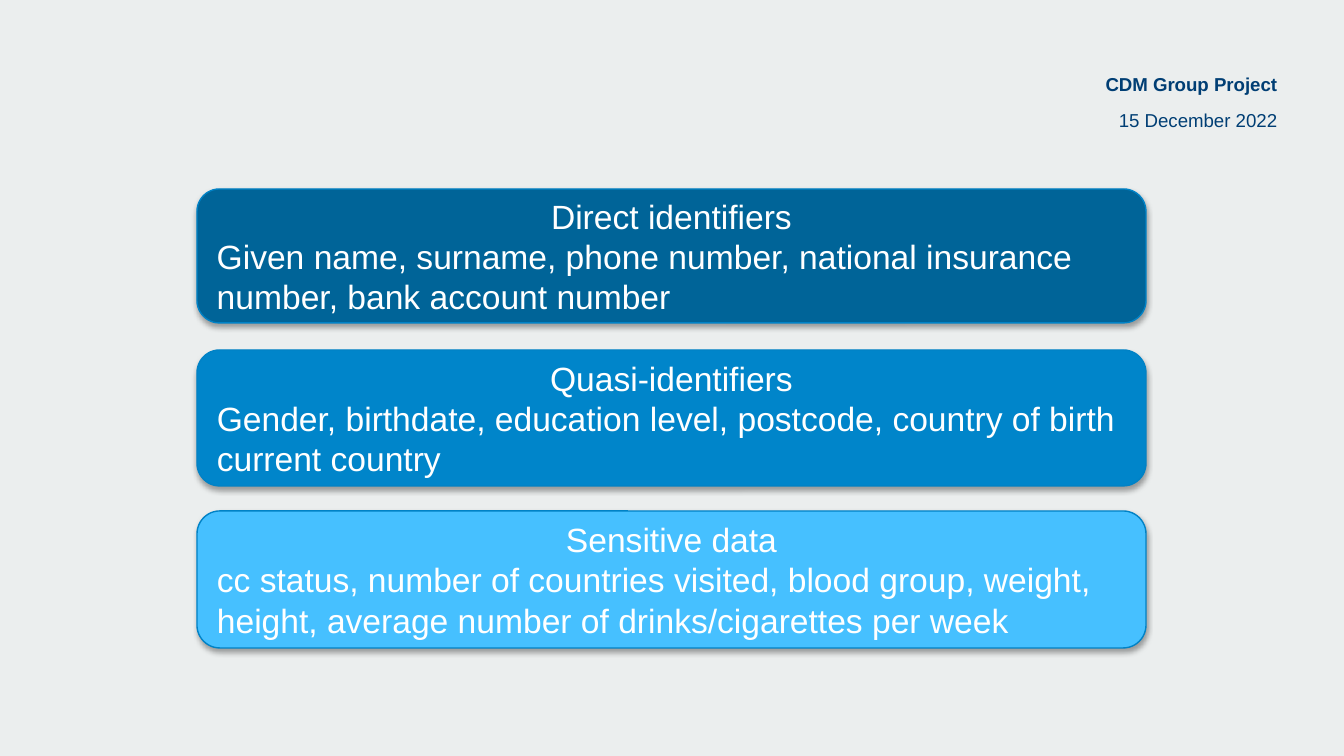
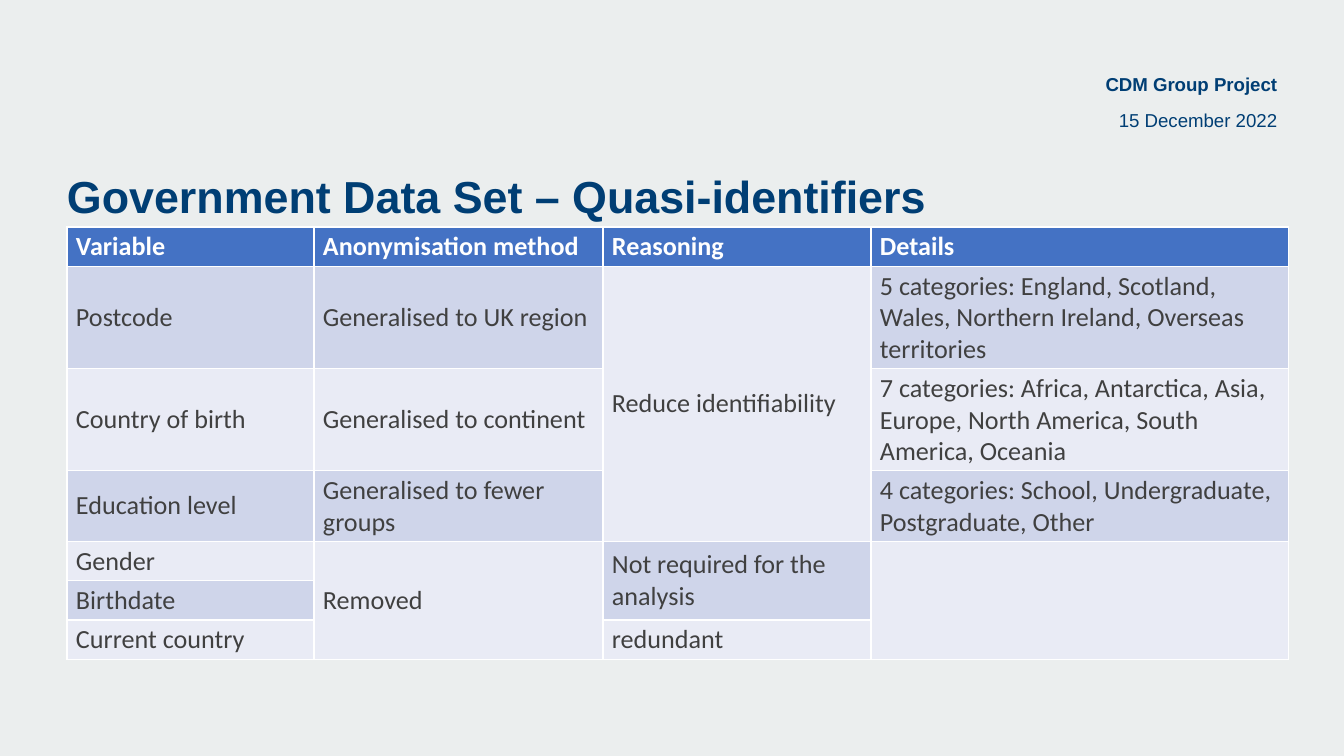
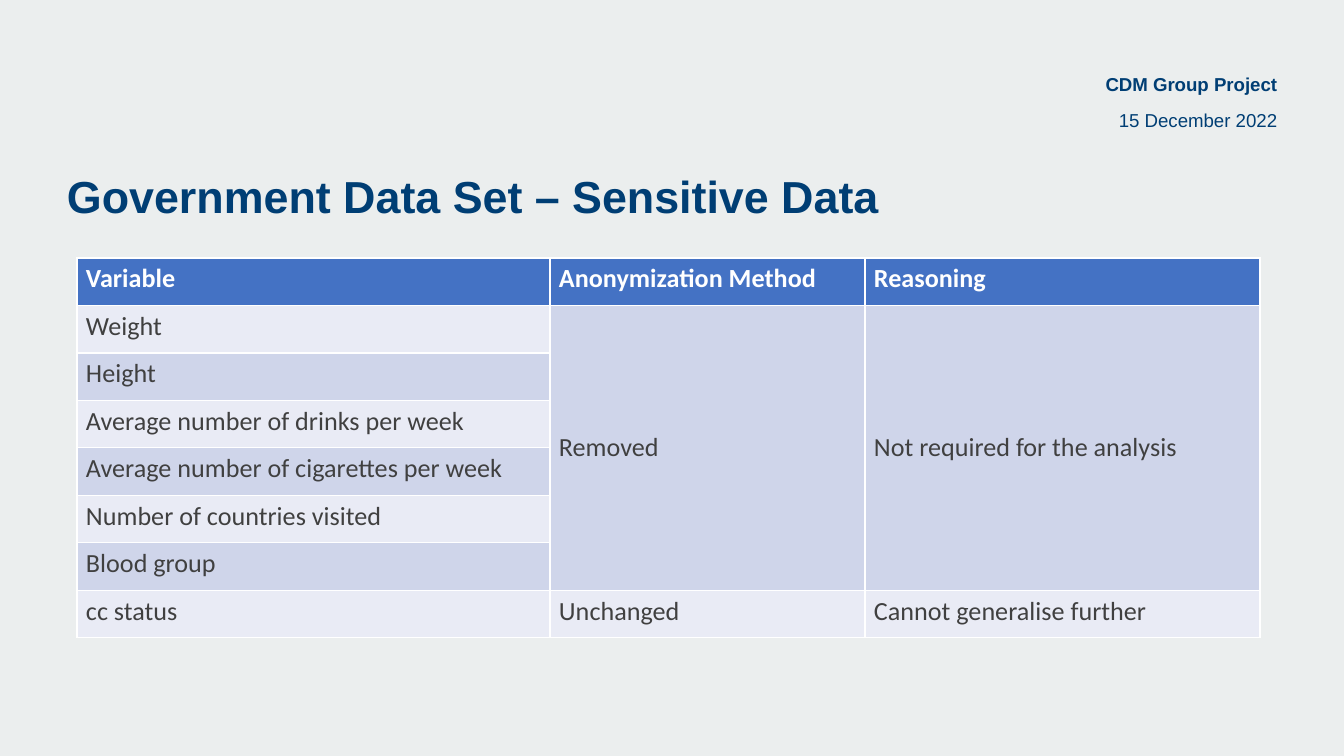
"""Build three slides on anonymising a government data set."""
from lxml.etree import SubElement as Sub
from pptx import Presentation
from pptx.dml.color import RGBColor as Rgb
from pptx.enum.shapes import MSO_SHAPE as Shape
from pptx.enum.text import MSO_ANCHOR as Anchor, MSO_AUTO_SIZE as Fit, PP_ALIGN as Align
from pptx.oxml.ns import qn
from pptx.util import Emu, Pt

WIDE, HIGH = 1344, 756
SCALE = 9144000 / WIDE

HUES = {
    "back": "EBEEEE", "navy": "003E74", "white": "FFFFFF", "text": "404040",
    "head": "4472C4", "dark": "CFD5EA", "light": "E9EBF5", "edge": "0082C6",
    "deep": "006498", "mid": "0085CA", "sky": "46C0FF", "black": "000000",
}

FONTS = {
    "title": ("Arial", 24, True, "navy"),
    "group": ("Arial", 10, True, "navy"),
    "date": ("Arial", 10, False, "navy"),
    "card": ("Arial", 18, False, "white"),
    "head": ("Calibri", 14, True, "white"),
    "cell": ("Calibri", 14, False, "text"),
}

STAMPS = [
    ("CDM Group Project", "group", (964, 73, 313, 35)),
    ("15 December 2022", "date", (1064, 109, 213, 28)),
]

CARDS = [
    ("Direct identifiers",
     "Given name, surname, phone number, national insurance number, bank account number",
     "deep", 134),
    ("Quasi-identifiers",
     "Gender, birthdate, education level, postcode, country of birth current country",
     "mid", 136),
    ("Sensitive data",
     "cc status, number of countries visited, blood group, weight, height, "
     "average number of drinks/cigarettes per week",
     "sky", 137),
]
CARD = {"left": 197, "top": 189, "step": 161, "wide": 949}

GRIDS = [
    {
        "title": "Government Data Set – Quasi-identifiers",
        "at": (67, 227), "high": 441, "pad": 4, "anchor": Anchor.MIDDLE,
        "cols": [247, 289, 268, 418],
        "rows": [39, 101, 101, 70, 39, 39, 39],
        "bands": ("dark", "light"),
        "flips": {(1, 2), (4, 2)},
        "cells": [
            ("Variable", "Anonymisation method", "Reasoning", "Details"),
            ("Postcode", "Generalised to UK region", "Reduce identifiability",
             "5 categories: England, Scotland, Wales, Northern Ireland, Overseas territories"),
            ("Country of birth", "Generalised to continent", None,
             "7 categories: Africa, Antarctica, Asia, Europe, North America, South America, Oceania"),
            ("Education level", "Generalised to fewer groups", None,
             "4 categories: School, Undergraduate,\nPostgraduate, Other"),
            ("Gender", "Removed", "Not required for the analysis", ""),
            ("Birthdate", None, None, None),
            ("Current country", None, "redundant", None),
        ],
    },
    {
        "title": "Government Data Set – Sensitive Data",
        "at": (77, 258), "high": 380, "pad": 5, "anchor": Anchor.TOP,
        "cols": [473, 315, 395],
        "rows": [47.5] * 8,
        "bands": ("light", "dark"),
        "flips": {(1, 1), (1, 2)},
        "cells": [
            ("Variable", "Anonymization Method", "Reasoning"),
            ("Weight", "Removed", "Not required for the analysis"),
            ("Height", None, None),
            ("Average number of drinks per week", None, None),
            ("Average number of cigarettes per week", None, None),
            ("Number of countries visited", None, None),
            ("Blood group", None, None),
            ("cc status", "Unchanged", "Cannot generalise further"),
        ],
    },
]


def px(num):
    return Emu(round(num * SCALE))


def hue(name):
    return Rgb.from_string(HUES[name])


def put(thing, **vals):
    for key, val in vals.items():
        setattr(thing, key, val)


def pads(left, top, right, base):
    sides = zip(("left", "top", "right", "bottom"), (left, top, right, base))
    return {f"margin_{side}": px(num) for side, num in sides}


def paint(thing, name):
    thing.fill.solid()
    thing.fill.fore_color.rgb = hue(name)


def write(frame, lines, font, aligns=(Align.LEFT,), **form):
    face, size, bold, tint = FONTS[font]
    for num, line in enumerate(lines):
        para = frame.add_paragraph() if num else frame.paragraphs[0]
        put(para, alignment=aligns[min(num, len(aligns) - 1)], **form)
        if line:
            run = para.add_run()
            run.text = line
            put(run.font, name=face, size=Pt(size), bold=bold)
            run.font.color.rgb = hue(tint)


def stamp(slide):
    for text, font, box in STAMPS:
        frame = slide.shapes.add_textbox(*map(px, box)).text_frame
        put(frame, word_wrap=True, **pads(0, 0, 0, 0))
        write(frame, [text], font, (Align.RIGHT,), space_before=Pt(2))


def shade(shape):
    shape.shadow.inherit = False
    list_ = shape.element.spPr.find(qn("a:effectLst"))
    drop = Sub(list_, qn("a:outerShdw"), blurRad="40000", dist="23000",
               dir="5400000", rotWithShape="0")
    tint = Sub(drop, qn("a:srgbClr"), val=HUES["black"])
    Sub(tint, qn("a:alpha"), val="35000")


def cards(slide):
    for num, (head, body, tint, high) in enumerate(CARDS):
        top = CARD["top"] + num * CARD["step"]
        box = CARD["left"], top, CARD["wide"], high
        card = slide.shapes.add_shape(Shape.ROUNDED_RECTANGLE, *map(px, box))
        paint(card, tint)
        card.line.color.rgb = hue("edge")
        card.line.width = Pt(0.75)
        shade(card)
        put(card.text_frame, word_wrap=True, vertical_anchor=Anchor.MIDDLE)
        write(card.text_frame, [head, body], "card", (Align.CENTER, Align.LEFT))


def title(slide, text):
    head = slide.shapes.title
    put(head, left=px(67), top=px(164), width=px(1210), height=px(56))
    put(head.text_frame, word_wrap=True, auto_size=Fit.NONE,
        vertical_anchor=Anchor.MIDDLE, **pads(0, 7, 0, 0))
    write(head.text_frame, [text], "title")


def edge(cell):
    props = cell._tc.get_or_add_tcPr()
    for side in "LRTB":
        line = Sub(props, qn(f"a:ln{side}"), w=str(Pt(0.75)))
        Sub(Sub(line, qn("a:solidFill")), qn("a:srgbClr"), val=HUES["white"])


def grid(slide, spec):
    cells, cols, rows = spec["cells"], spec["cols"], spec["rows"]
    box = *spec["at"], sum(cols), spec["high"]
    frame = slide.shapes.add_table(len(rows), len(cols), *map(px, box))
    table = frame.table
    table.horz_banding = False
    for col, wide in zip(table.columns, cols):
        col.width = px(wide)
    for row, high in zip(table.rows, rows):
        row.height = px(high)
    frame.height = px(spec["high"])
    for r, row in enumerate(cells):
        for c, text in enumerate(row):
            cell = table.cell(r, c)
            edge(cell)
            flip = (r, c) in spec["flips"]
            paint(cell, spec["bands"][(r - 1 + flip) % 2] if r else "head")
            if text is None:
                continue
            last = r
            while last + 1 < len(rows) and cells[last + 1][c] is None:
                last += 1
            if last > r:
                cell.merge(table.cell(last, c))
            body = Anchor.MIDDLE if last > r else spec["anchor"]
            pad = spec["pad"]
            put(cell, vertical_anchor=body if r else Anchor.TOP, **pads(9, pad, 9, pad))
            write(cell.text_frame, text.split("\n"), "cell" if r else "head")


def main():
    deck = Presentation()
    put(deck, slide_width=px(WIDE), slide_height=px(HIGH))
    paint(deck.slide_master.background, "back")
    bare, titled = deck.slide_layouts[6], deck.slide_layouts[5]
    first = deck.slides.add_slide(bare)
    stamp(first)
    cards(first)
    for spec in GRIDS:
        slide = deck.slides.add_slide(titled)
        title(slide, spec["title"])
        stamp(slide)
        grid(slide, spec)
    deck.save("out.pptx")


if __name__ == "__main__":
    main()
